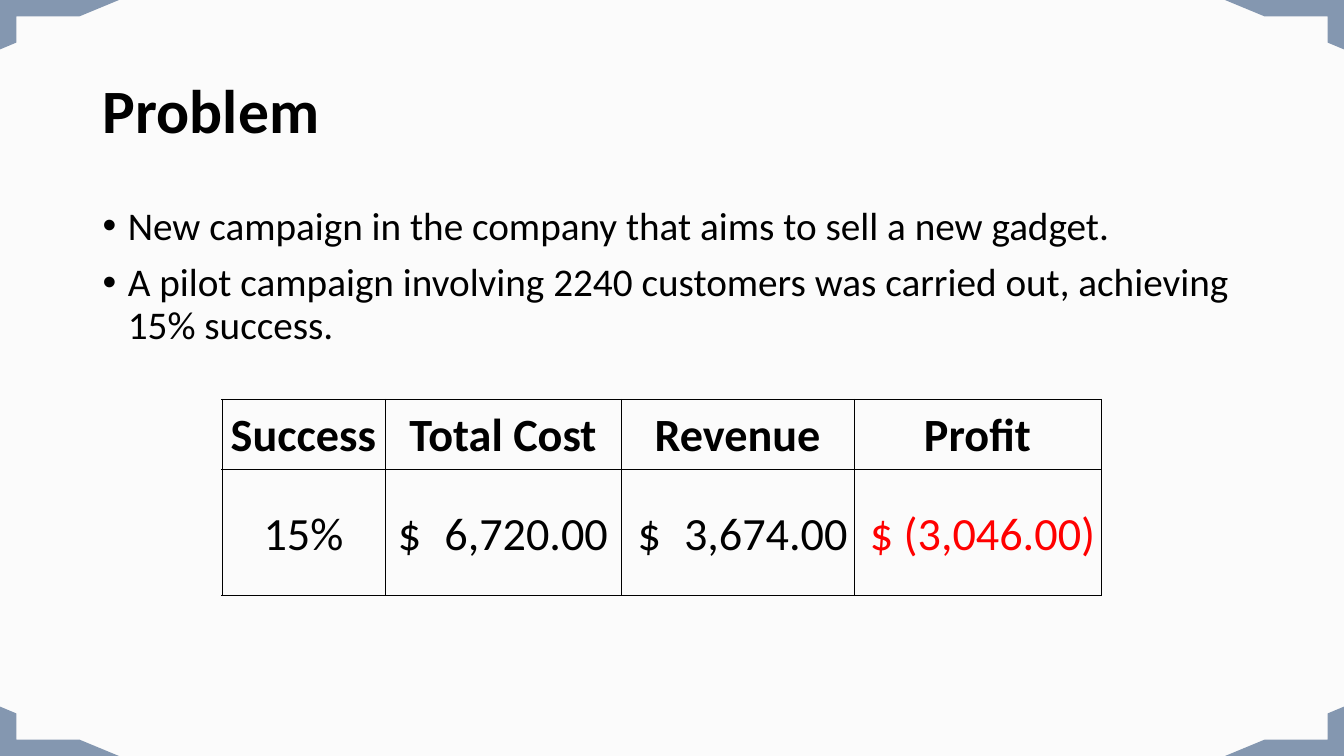
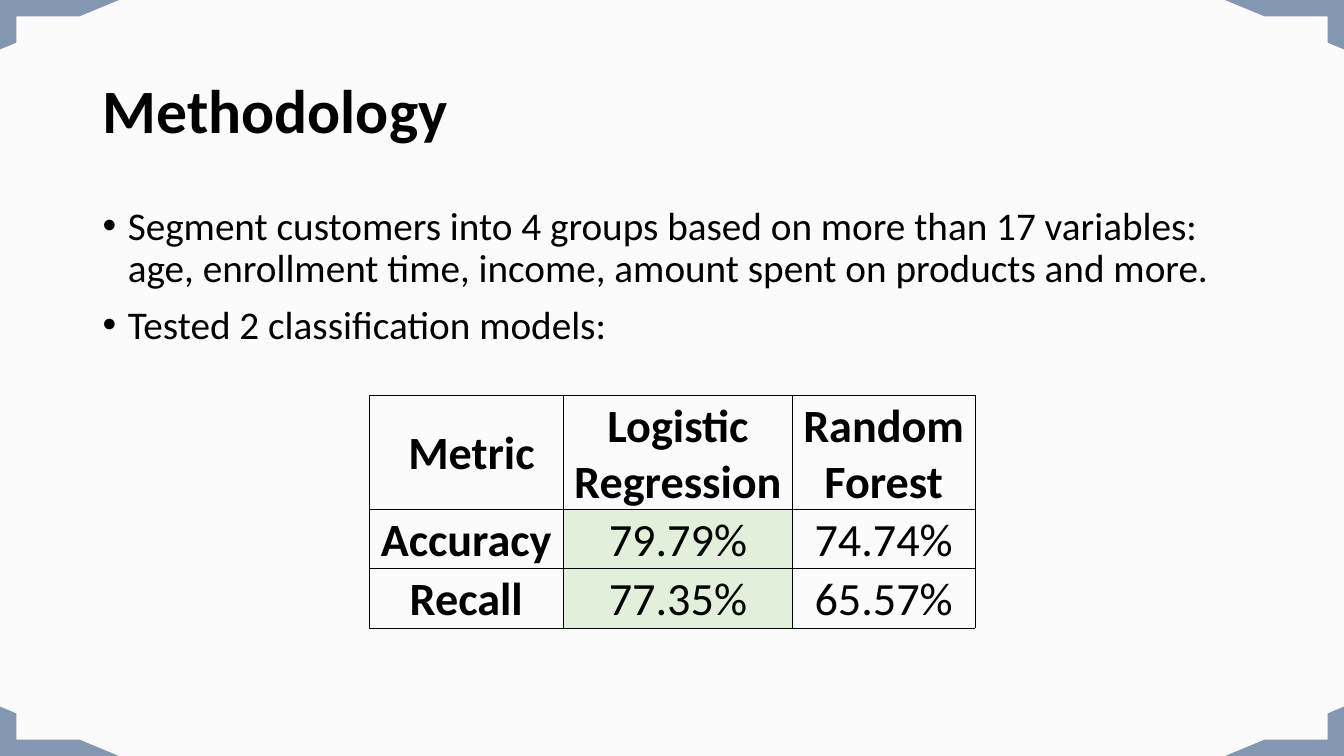
from dataclasses import dataclass
from lxml.etree import SubElement
from pptx import Presentation
from pptx.dml.color import RGBColor
from pptx.enum.shapes import MSO_SHAPE
from pptx.enum.text import MSO_ANCHOR, MSO_AUTO_SIZE, PP_ALIGN
from pptx.oxml.ns import qn
from pptx.slide import Slide
from pptx.util import Inches, Pt

WIDTH, HEIGHT = 13.33, 7.5
LEFT, SPAN = 0.92, 11.5
FRAME_W, FRAME_H = 1.18, 0.49
FONT = "Calibri"
PAPER, BLACK, RED, STEEL, GREEN = "FBFBFB", "000000", "FF0000", "8497B0", "E2EFDA"


@dataclass
class Cell:
    """Text and look of one table cell."""
    text: str
    bold: bool = False
    color: str = BLACK
    fill: str = ""
    anchor: MSO_ANCHOR = MSO_ANCHOR.MIDDLE


@dataclass
class Grid:
    """Place, track sizes and cells of a table."""
    left: float
    top: float
    cols: list[float]
    rows: list[float]
    cells: list[list[Cell]]


@dataclass
class Page:
    """Content of one slide."""
    title: str
    points: list[str]
    grid: Grid


@dataclass
class Corner:
    """Place and turn of one corner frame."""
    left: float
    top: float
    turn: int
    flip: bool


RIGHT, BASE = WIDTH - FRAME_W, HEIGHT - FRAME_H
CORNERS = [
    Corner(0, 0, 0, False),
    Corner(RIGHT, BASE, 180, False),
    Corner(0, BASE, 180, True),
    Corner(RIGHT, 0, 0, True),
]


def paint(target, color: str) -> None:
    """Give a fill one solid colour."""
    target.solid()
    target.fore_color.rgb = RGBColor.from_string(color)


def style(para, size: int, bold: bool = False, color: str = BLACK) -> None:
    """Format every run of a paragraph."""
    for run in para.runs:
        font = run.font
        font.name, font.size, font.bold = FONT, Pt(size), bold
        font.color.rgb = RGBColor.from_string(color)


def add_title(slide: Slide, text: str) -> None:
    """Fill and place the title placeholder."""
    title = slide.shapes.title
    title.left, title.top = Inches(LEFT), Inches(0.4)
    title.width, title.height = Inches(SPAN), Inches(1.45)
    frame = title.text_frame
    frame.text = text
    frame.word_wrap, frame.auto_size = True, MSO_AUTO_SIZE.NONE
    frame.vertical_anchor = MSO_ANCHOR.MIDDLE
    para = frame.paragraphs[0]
    para.alignment, para.line_spacing = PP_ALIGN.LEFT, 0.9
    style(para, 44, bold=True)


def add_points(slide: Slide, points: list[str]) -> None:
    """Draw the bullet list."""
    box = slide.shapes.add_textbox(Inches(LEFT), Inches(2), Inches(SPAN), Inches(4.76))
    frame = box.text_frame
    frame.word_wrap = True
    frame.text = "\n".join(points)
    for para in frame.paragraphs:
        para.line_spacing, para.space_before = 0.9, Pt(10)
        props = para._p.get_or_add_pPr()
        props.set("marL", str(Inches(0.25)))
        props.set("indent", str(-Inches(0.25)))
        SubElement(props, qn("a:buFont")).set("typeface", "Arial")
        SubElement(props, qn("a:buChar")).set("char", "•")
        style(para, 28)


def add_edges(cell) -> None:
    """Draw thin black borders around a cell."""
    props = cell._tc.get_or_add_tcPr()
    for side in ("lnL", "lnR", "lnT", "lnB"):
        line = SubElement(props, qn(f"a:{side}"), w=str(Pt(0.5)))
        fill = SubElement(line, qn("a:solidFill"))
        SubElement(fill, qn("a:srgbClr"), val=BLACK)


def fill_cell(cell, item: Cell) -> None:
    """Write and format one table cell."""
    add_edges(cell)
    if item.fill:
        paint(cell.fill, item.fill)
    else:
        cell.fill.background()
    cell.margin_left = cell.margin_right = cell.margin_top = Inches(0.03)
    cell.margin_bottom = 0
    cell.vertical_anchor = item.anchor
    para = cell.text_frame.paragraphs[0]
    para.text = item.text
    para.alignment = PP_ALIGN.CENTER
    style(para, 33, item.bold, item.color)


def add_grid(slide: Slide, grid: Grid) -> None:
    """Draw a bordered table."""
    table = slide.shapes.add_table(
        len(grid.rows), len(grid.cols), Inches(grid.left), Inches(grid.top),
        Inches(sum(grid.cols)), Inches(sum(grid.rows))).table
    table.first_row = table.horz_banding = False
    for col, width in zip(table.columns, grid.cols):
        col.width = Inches(width)
    for row, height, items in zip(table.rows, grid.rows, grid.cells):
        row.height = Inches(height)
        for cell, item in zip(row.cells, items):
            fill_cell(cell, item)


def add_frame(slide: Slide) -> None:
    """Draw the four corner frames as one group."""
    group = slide.shapes.add_group_shape()
    for corner in CORNERS:
        shape = group.shapes.add_shape(
            MSO_SHAPE.HALF_FRAME, Inches(corner.left), Inches(corner.top),
            Inches(FRAME_W), Inches(FRAME_H))
        shape.shadow.inherit = False
        paint(shape.fill, STEEL)
        shape.line.fill.background()
        shape.rotation = corner.turn
        if corner.flip:
            shape.element.spPr.find(qn("a:xfrm")).set("flipH", "1")


def head(text: str, anchor: MSO_ANCHOR = MSO_ANCHOR.MIDDLE) -> Cell:
    """Make a bold label cell."""
    return Cell(text, bold=True, anchor=anchor)


def score(name: str, best: str, other: str) -> list[Cell]:
    """Make a metric row with its best value tinted."""
    low = MSO_ANCHOR.BOTTOM
    return [head(name, low), Cell(best, fill=GREEN, anchor=low), Cell(other, anchor=low)]


PAGES = [
    Page("Problem", [
        "New campaign in the company that aims to sell a new gadget.",
        "A pilot campaign involving 2240 customers was carried out, achieving 15% success.",
    ], Grid(2.2, 3.96, [1.62, 2.34, 2.31, 2.45], [0.7, 1.25], [
        [head(name) for name in ("Success", "Total Cost", "Revenue", "Profit")],
        [Cell("15%"), Cell("$\u20026,720.00"), Cell(" $\u20023,674.00"),
         Cell(" $ (3,046.00)", color=RED)],
    ])),
    Page("Methodology", [
        "Segment customers into 4 groups based on more than 17 variables: "
        "age, enrollment time, income, amount spent on products and more.",
        "Tested 2 classification models:",
    ], Grid(3.66, 3.92, [1.93, 2.27, 1.81], [1.05, 0.59, 0.59], [
        [head("\u00a0Metric"), head("Logistic Regression", MSO_ANCHOR.BOTTOM),
         head("Random Forest", MSO_ANCHOR.BOTTOM)],
        score("Accuracy", "79.79%", "74.74%"),
        score("Recall", "77.35%", "65.57%"),
    ])),
]


def main() -> None:
    """Build and save the deck."""
    deck = Presentation()
    deck.slide_width, deck.slide_height = Inches(WIDTH), Inches(HEIGHT)
    paint(deck.slide_master.background.fill, PAPER)
    for page in PAGES:
        slide = deck.slides.add_slide(deck.slide_layouts[5])
        add_title(slide, page.title)
        add_points(slide, page.points)
        add_grid(slide, page.grid)
        add_frame(slide)
    deck.save("out.pptx")


main()
